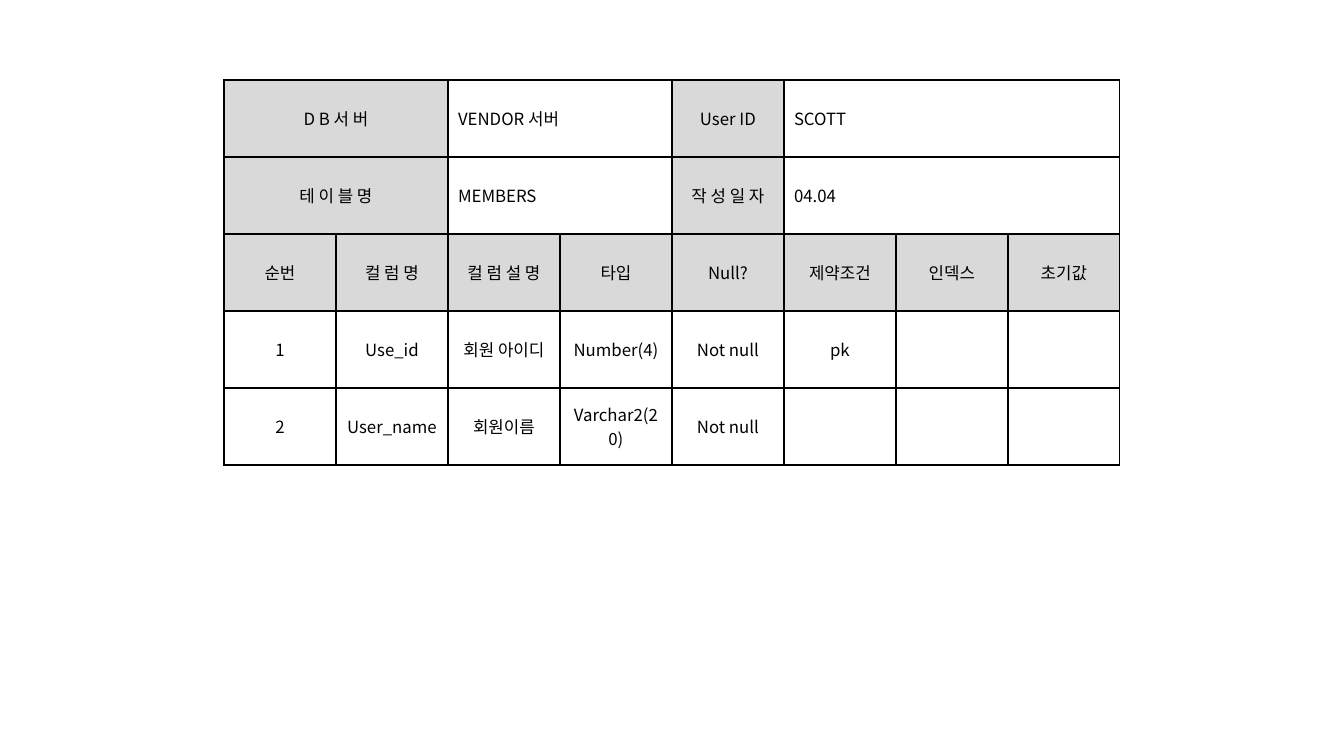
from lxml import etree
from pptx import Presentation
from pptx import util as u
from pptx.dml.color import RGBColor
from pptx.enum import text
from pptx.oxml import ns

FONT = "Noto Sans CJK KR"
BLACK = RGBColor(0x00, 0x00, 0x00)
GREY = RGBColor(0xD9, 0xD9, 0xD9)
COLUMNS = 8

# Each info row holds (wording, columns spanned); labels and values alternate.
INFO_ROWS = [
    [("D B 서 버", 2), ("VENDOR 서버", 2), ("User ID", 1), ("SCOTT", 3)],
    [("테 이 블 명", 2), ("MEMBERS", 2), ("작 성 일 자", 1), ("04.04", 3)],
]
HEADINGS = ["순번", "컬 럼 명", "컬 럼 설 명", "타입",
            "Null?", "제약조건", "인덱스", "초기값"]
FIELDS = [
    ["1", "Use_id", "회원 아이디", "Number(4)", "Not null", "pk", "", ""],
    ["2", "User_name", "회원이름", "Varchar2(20)", "Not null", "", "", ""],
]


def px(n):
    """Turn pixels into EMU at 100.8 pixels to the inch."""
    return u.Emu(round(n * 914400 / 100.8))


def add_borders(cell):
    """Draw a thin black line on all four sides of a cell."""
    tc_pr = cell._tc.get_or_add_tcPr()
    for side in ("lnL", "lnR", "lnT", "lnB"):
        ln = etree.SubElement(tc_pr, ns.qn(f"a:{side}"), w=str(u.Pt(1)))
        fill = etree.SubElement(ln, ns.qn("a:solidFill"))
        etree.SubElement(fill, ns.qn("a:srgbClr"), val=str(BLACK))


def fill_cell(cell, wording, shaded=False, centred=True):
    """Set the background and wording of a cell."""
    if shaded:
        cell.fill.solid()
        cell.fill.fore_color.rgb = GREY
    else:
        cell.fill.background()
    cell.vertical_anchor = text.MSO_ANCHOR.MIDDLE
    if not wording:
        return
    p = cell.text_frame.paragraphs[0]
    p.alignment = text.PP_ALIGN.CENTER if centred else text.PP_ALIGN.LEFT
    r = p.add_run()
    r.text = wording
    r.font.size = u.Pt(12)
    r.font.name = FONT
    r.font.color.rgb = BLACK
    etree.SubElement(r.font._element, ns.qn("a:ea"), typeface=FONT)


def add_definition_table(slide, left, top, width, height):
    """Place the table definition sheet in the given box."""
    rows = len(INFO_ROWS) + 1 + len(FIELDS)
    table = slide.shapes.add_table(
        rows, COLUMNS, px(left), px(top), px(width), px(height)).table
    table.first_row = table.horz_banding = False
    for column in table.columns:
        column.width = px(width / COLUMNS)
    for row in table.rows:
        row.height = px(height / rows)
    for cell in table.iter_cells():
        add_borders(cell)

    for y, info in enumerate(INFO_ROWS):
        x = 0
        for i, (wording, span) in enumerate(info):
            cell = table.cell(y, x)
            if span > 1:
                cell.merge(table.cell(y, x + span - 1))
            is_label = i % 2 == 0
            fill_cell(cell, wording, shaded=is_label, centred=is_label)
            x += span

    for y, wordings in enumerate([HEADINGS] + FIELDS, len(INFO_ROWS)):
        for x, wording in enumerate(wordings):
            fill_cell(table.cell(y, x), wording, shaded=wordings is HEADINGS)


prs = Presentation()
prs.slide_width, prs.slide_height = px(1344), px(756)
slide = prs.slides.add_slide(prs.slide_layouts[6])
add_definition_table(slide, 224, 80, 896, 385)
prs.save("out.pptx")
